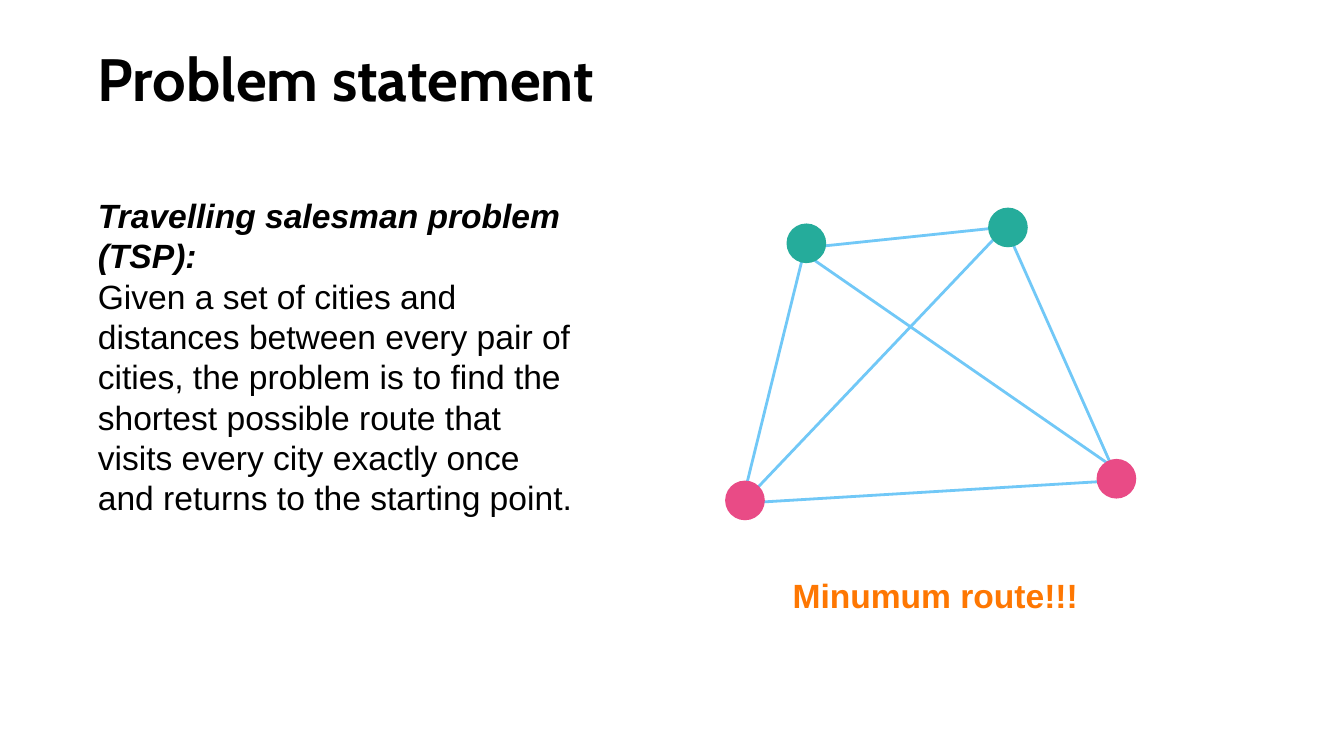
from dataclasses import dataclass

from lxml import etree
from pptx import Presentation
from pptx.dml.color import RGBColor
from pptx.enum.shapes import MSO_CONNECTOR, MSO_SHAPE
from pptx.oxml.ns import qn
from pptx.util import Cm, Pt

STRAIGHT = MSO_CONNECTOR.STRAIGHT
OVAL = MSO_SHAPE.OVAL


@dataclass(frozen=True)
class Theme:
    text: RGBColor = RGBColor(0x00, 0x00, 0x00)
    route: RGBColor = RGBColor(0x71, 0xC8, 0xF7)
    upper_city: RGBColor = RGBColor(0x25, 0xAC, 0x9B)
    lower_city: RGBColor = RGBColor(0xE9, 0x4B, 0x86)
    accent: RGBColor = RGBColor(0xFE, 0x77, 0x02)
    title_font: str = "Cabin"
    body_font: str = "Arial"
    title_size: Pt = Pt(32)
    body_size: Pt = Pt(18)
    body_leading: Pt = Pt(21.6)
    route_width: Pt = Pt(1.5)


THEME = Theme()
CITY_SIZE = 0.75

# City centres in cm
CITIES = [
    (15.24, 4.6, THEME.upper_city),
    (19.05, 4.3, THEME.upper_city),
    (14.08, 9.46, THEME.lower_city),
    (21.1, 9.05, THEME.lower_city),
]

# Route ends in cm
TOP_LEFT, TOP_RIGHT = (15.19, 4.78), (19, 4.29)
BOTTOM_LEFT, BOTTOM_RIGHT = (14.07, 9.32), (21.01, 8.81)
ROUTES = [
    (BOTTOM_LEFT, TOP_LEFT),
    ((15.37, 4.67), TOP_RIGHT),
    (TOP_RIGHT, BOTTOM_RIGHT),
    ((14.22, 9.5), (21.01, 9.09)),
    ((14.22, 9.32), TOP_RIGHT),
    (TOP_LEFT, BOTTOM_RIGHT),
]


def add_text(s, box, lines, font, size, color, leading=None):
    """Add a text box; each line is (text, bold, italic)."""
    tf = s.shapes.add_textbox(*map(Cm, box)).text_frame
    tf.word_wrap = True
    tf.text = "\n".join(text for text, _, _ in lines)
    for p, (_, bold, italic) in zip(tf.paragraphs, lines):
        if leading:
            p.line_spacing = leading
        f = p.runs[0].font
        f.name, f.size, f.bold, f.italic = font, size, bold, italic
        f.color.rgb = color


def add_route(s, start, end):
    line = s.shapes.add_connector(STRAIGHT, *map(Cm, start + end))
    line.line.color.rgb = THEME.route
    line.line.width = THEME.route_width
    etree.SubElement(line._element.spPr, qn("a:effectLst"))


def add_city(s, x, y, color):
    r = CITY_SIZE / 2
    sp = s.shapes.add_shape(OVAL, Cm(x - r), Cm(y - r), Cm(CITY_SIZE), Cm(CITY_SIZE))
    sp.shadow.inherit = False
    sp.fill.solid()
    sp.fill.fore_color.rgb = color
    sp.line.fill.background()


def main():
    prs = Presentation()
    prs.slide_width, prs.slide_height = Cm(25.4), Cm(14.29)
    s = prs.slides.add_slide(prs.slide_layouts[6])

    # Graph of cities, routes behind
    for start, end in ROUTES:
        add_route(s, start, end)
    for x, y, color in CITIES:
        add_city(s, x, y, color)

    # Title
    add_text(s, (1.6, 0.66, 10.6, 1.63), [("Problem statement", True, False)],
             THEME.title_font, THEME.title_size, THEME.text)

    # Definition
    definition = [
        ("Travelling salesman problem (TSP):", True, True),
        ("Given a set of cities and distances between every pair of cities, "
         "the problem is to find the shortest possible route that visits every "
         "city exactly once and returns to the starting point.", False, False),
    ]
    add_text(s, (1.6, 3.56, 9.5, 7.19), definition, THEME.body_font,
             THEME.body_size, THEME.text, THEME.body_leading)

    # Caption under the graph
    add_text(s, (14.73, 10.74, 5.97, 1.02), [("Minumum route!!!", True, False)],
             THEME.body_font, THEME.body_size, THEME.accent, THEME.body_leading)

    prs.save("out.pptx")


if __name__ == "__main__":
    main()
